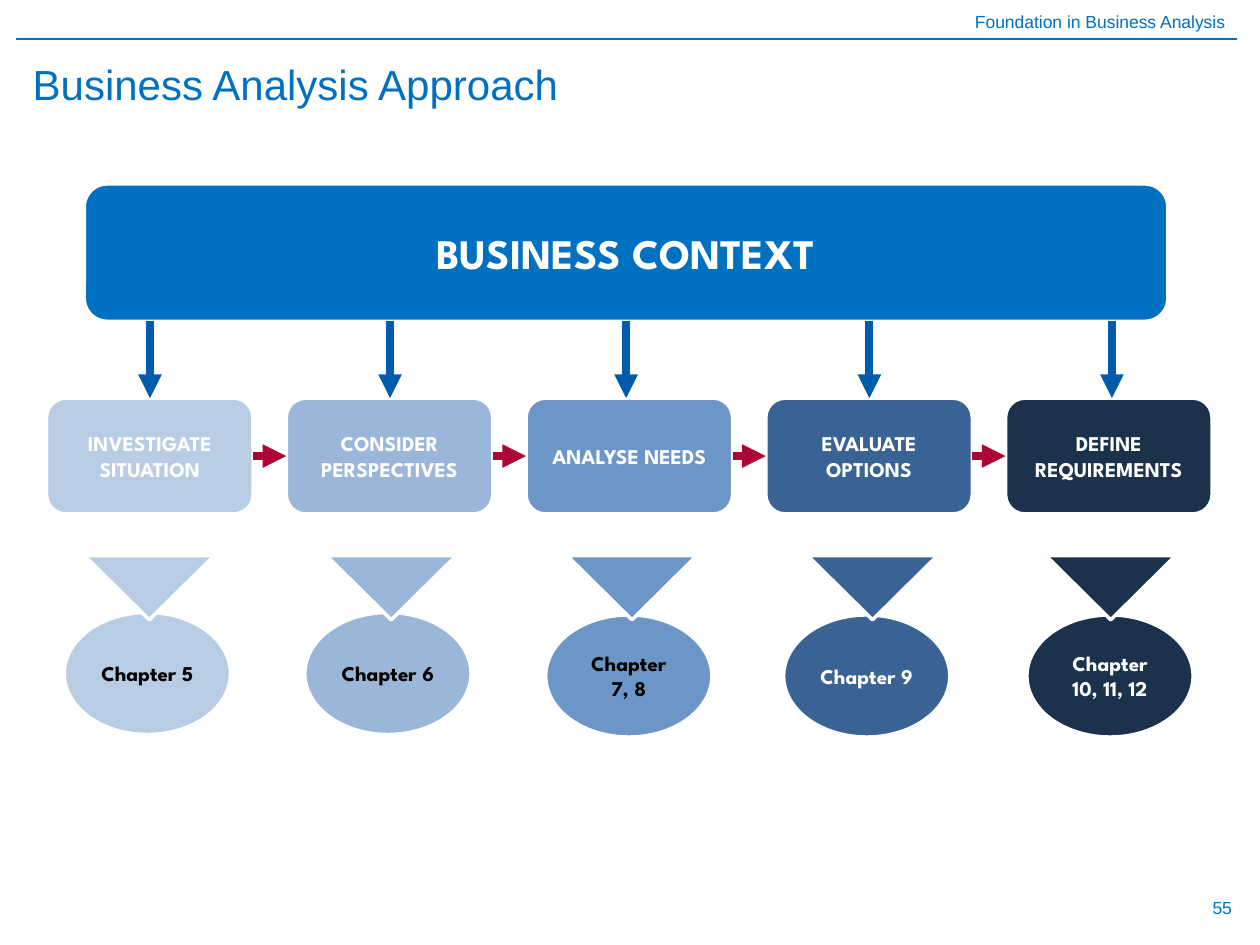
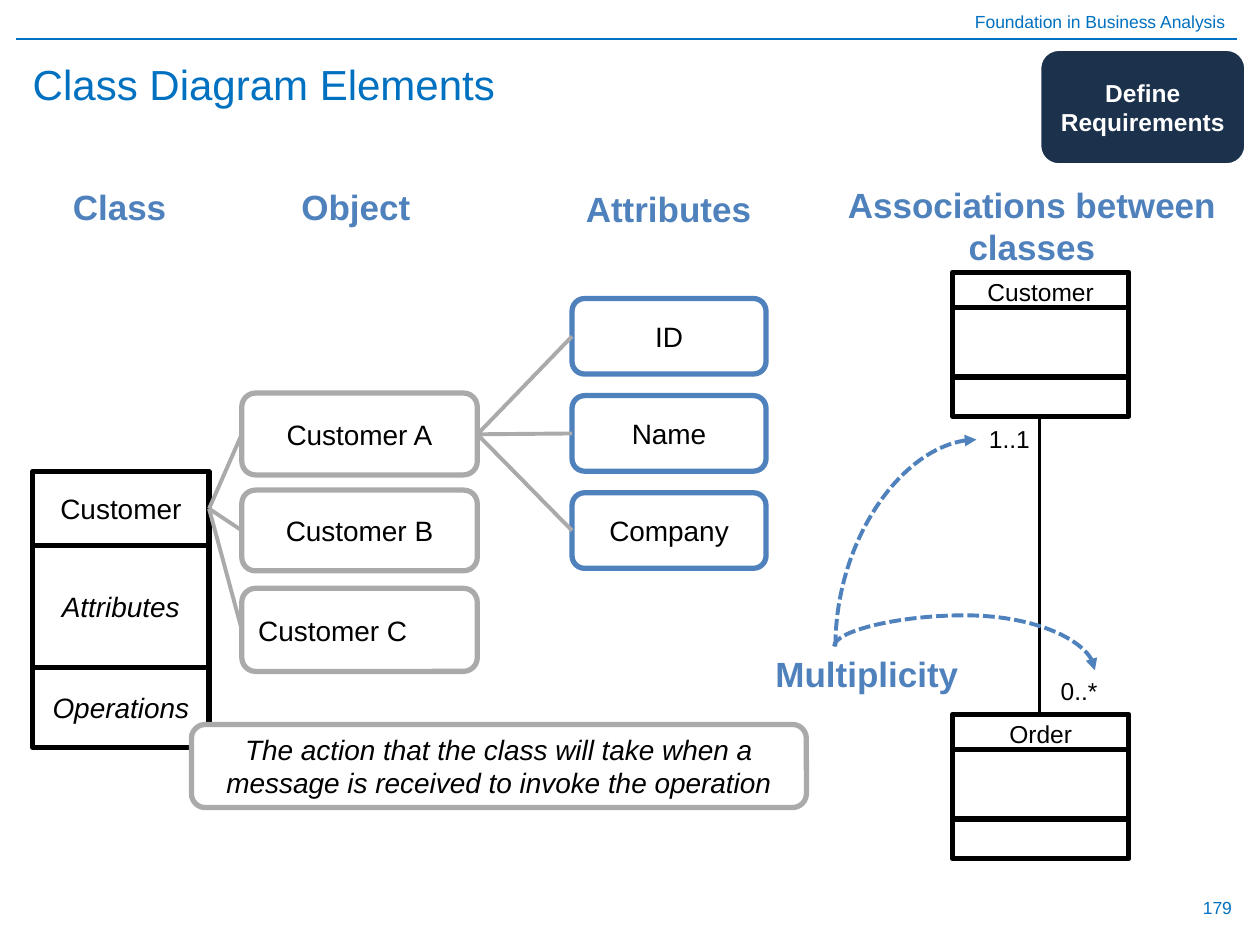
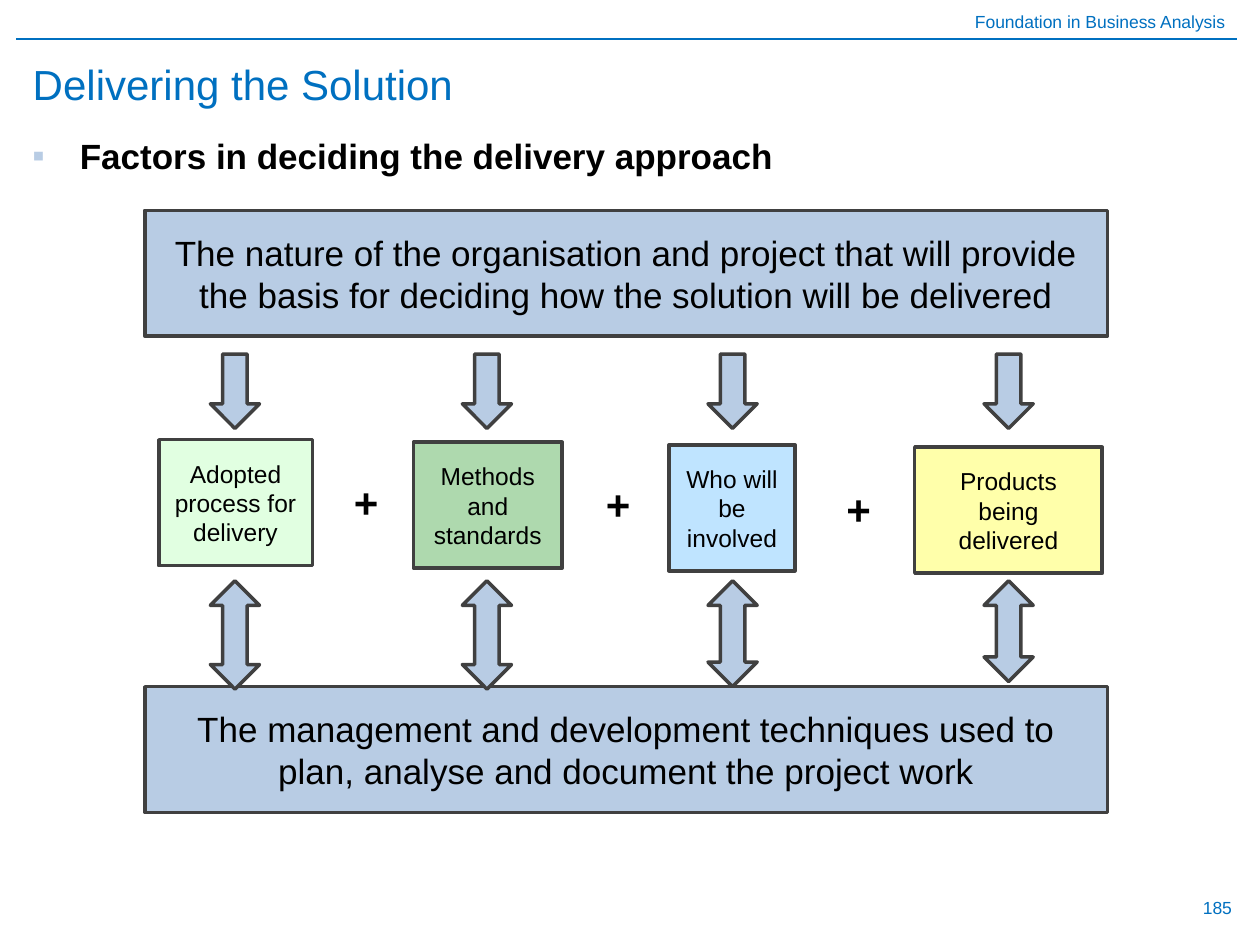
from dataclasses import dataclass
from typing import Any, Optional

from lxml import etree
from pptx import Presentation
from pptx.dml.color import RGBColor
from pptx.enum.dml import MSO_LINE
from pptx.enum.shapes import MSO_CONNECTOR, MSO_SHAPE
from pptx.enum.text import MSO_ANCHOR, MSO_AUTO_SIZE, PP_ALIGN
from pptx.oxml.ns import qn
from pptx.util import Pt

RECT = MSO_SHAPE.RECTANGLE
ROUND = MSO_SHAPE.ROUNDED_RECTANGLE
ELLIPSE = MSO_SHAPE.OVAL
TRIANGLE = MSO_SHAPE.ISOSCELES_TRIANGLE
DOWN = MSO_SHAPE.DOWN_ARROW
UP_DOWN = MSO_SHAPE.UP_DOWN_ARROW
STRAIGHT = MSO_CONNECTOR.STRAIGHT
CURVE = MSO_CONNECTOR.CURVE
DASH = MSO_LINE.SQUARE_DOT
LEFT, CENTER, RIGHT = PP_ALIGN.LEFT, PP_ALIGN.CENTER, PP_ALIGN.RIGHT
TOP, MIDDLE = MSO_ANCHOR.TOP, MSO_ANCHOR.MIDDLE
NO_FIT = MSO_AUTO_SIZE.NONE

BLACK = RGBColor(0, 0, 0)
WHITE = RGBColor(0xFF, 0xFF, 0xFF)
BLUE = RGBColor(0x00, 0x70, 0xC0)
ARROW_BLUE = RGBColor(0x00, 0x5B, 0xAA)
HEADING_BLUE = RGBColor(0x4F, 0x81, 0xBD)
PALE = RGBColor(0xB8, 0xCC, 0xE4)
LIGHT = RGBColor(0x9A, 0xB7, 0xD9)
MEDIUM = RGBColor(0x6D, 0x96, 0xC8)
DEEP = RGBColor(0x39, 0x63, 0x95)
NAVY = RGBColor(0x1C, 0x31, 0x4B)
CRIMSON = RGBColor(0xAB, 0x06, 0x34)
GREY = RGBColor(0xAA, 0xAA, 0xAA)
DARK_GREY = RGBColor(0x40, 0x40, 0x40)
MINT = RGBColor(0xE1, 0xFF, 0xE1)
GREEN = RGBColor(0xAE, 0xD9, 0xAE)
SKY = RGBColor(0xBF, 0xE4, 0xFF)
YELLOW = RGBColor(0xFF, 0xFF, 0xAA)

SANS = "Arial"
DISPLAY = "League Spartan"
TITLE_FONT = {"size": 24, "color": BLUE}
HEADING_FONT = {"size": 20, "color": HEADING_BLUE, "bold": True}
LABEL_FONT = {"size": 10, "color": BLUE}
STEP_FONT = {"size": 12, "color": WHITE, "bold": True, "name": DISPLAY}


@dataclass
class Box:
    x: float
    y: float
    w: float
    h: float


@dataclass
class Stage:
    text: str
    chapter: str
    fill: RGBColor
    chapter_color: RGBColor
    ellipse_x: float
    ellipse_y: float
    triangle_x: float
    arrow_x: float


@dataclass
class Factor:
    text: str
    fill: RGBColor
    box: Box
    arrow_x: float
    lower_h: float


@dataclass
class Heading:
    text: str
    box: Box
    align: Any = CENTER


STAGES = [
    Stage("INVESTIGATE SITUATION", "Chapter 5", PALE, BLACK, 36.7, 350, 48.2, 85.7),
    Stage("CONSIDER PERSPECTIVES", "Chapter 6", LIGHT, BLACK, 174.2, 350, 186.5, 222.9),
    Stage("ANALYSE NEEDS", "Chapter 7, 8", MEDIUM, BLACK, 311.8, 351.4, 324, 357.8),
    Stage("EVALUATE OPTIONS", "Chapter 9", DEEP, WHITE, 447.8, 351.4, 461.5, 496.8),
    Stage("DEFINE REQUIREMENTS", "Chapter 10, 11, 12", NAVY, WHITE, 586.8, 351.4, 597.6, 635.4),
]

FACTORS = [
    Factor("Adopted process for delivery", MINT, Box(90.7, 251.3, 87.8, 72), 120.2, 61.9),
    Factor("Methods and standards", GREEN, Box(236.2, 252.7, 85, 72), 264.2, 61.9),
    Factor("Who will be involved", SKY, Box(382.3, 254.2, 72, 72), 404.6, 60.5),
    Factor("Products being delivered", YELLOW, Box(522.7, 255.6, 107.2, 72), 562.3, 57.6),
]

HEADINGS = [
    Heading("Object", Box(144.7, 102.2, 117.4, 31.7)),
    Heading("Class", Box(34.5, 102.2, 168, 31.7), LEFT),
    Heading("Attributes", Box(298, 103.7, 168, 31.7)),
    Heading("Associations between classes", Box(474.7, 101.5, 230, 55.4)),
    Heading("Multiplicity", Box(387.4, 369.4, 216, 31.7)),
]


def points(box: Box) -> list:
    return [Pt(v) for v in (box.x, box.y, box.w, box.h)]


def write(s: Any, text: str, fmt: dict, align: Any = CENTER, anchor: Any = MIDDLE) -> Any:
    tf = s.text_frame
    tf.word_wrap = True
    tf.vertical_anchor = anchor
    p = tf.paragraphs[0]
    p.alignment = align
    r = p.add_run()
    r.text = text
    values = {"name": SANS, "size": 14, "color": BLACK, **fmt}
    r.font.color.rgb = values.pop("color")
    values["size"] = Pt(values["size"])
    for key, value in values.items():
        setattr(r.font, key, value)
    return tf


def add_text(slide: Any, box: Box, text: str, fmt: dict,
             align: Any = LEFT, anchor: Any = TOP) -> Any:
    return write(slide.shapes.add_textbox(*points(box)), text, fmt, align, anchor)


def add_box(shapes: Any, kind: Any, box: Box, fill: RGBColor, line: RGBColor = WHITE,
            width: float = 2, text: str = "", fmt: Optional[dict] = None,
            align: Any = CENTER) -> Any:
    s = shapes.add_shape(kind, *points(box))
    s.shadow.inherit = False
    s.fill.solid()
    s.fill.fore_color.rgb = fill
    s.line.color.rgb = line
    s.line.width = Pt(width)
    if text:
        write(s, text, fmt or {}, align)
    return s


def add_line(slide: Any, x1: float, y1: float, x2: float, y2: float, color: RGBColor,
             width: float, arrow: bool = False, kind: Any = STRAIGHT) -> Any:
    c = slide.shapes.add_connector(kind, Pt(x1), Pt(y1), Pt(x2), Pt(y2))
    c.line.color.rgb = color
    c.line.width = Pt(width)
    if kind == CURVE:
        c.line.dash_style = DASH
    spPr = c._element.spPr
    if arrow:
        etree.SubElement(spPr.find(qn("a:ln")), qn("a:tailEnd"), type="triangle")
    etree.SubElement(spPr, qn("a:effectLst"))
    return c


def add_curve(slide: Any, x1: float, y1: float, x2: float, y2: float,
              turn: int, preset: str, adjust: Optional[int] = None) -> None:
    c = add_line(slide, x1, y1, x2, y2, HEADING_BLUE, 2.25, True, CURVE)
    spPr = c._element.spPr
    spPr.find(qn("a:xfrm")).set("rot", str(turn * 60000))
    geom = spPr.find(qn("a:prstGeom"))
    geom.set("prst", preset)
    if adjust is not None:
        guides = geom.find(qn("a:avLst"))
        if guides is None:
            guides = etree.SubElement(geom, qn("a:avLst"))
        etree.SubElement(guides, qn("a:gd"), name="adj1", fmla=f"val {adjust}")


def add_slide(prs: Any, title: str, number: str) -> Any:
    slide = prs.slides.add_slide(prs.slide_layouts[5])
    add_text(slide, Box(0, 2.9, 707, 19.4), "Foundation in Business Analysis", LABEL_FONT, RIGHT)
    add_line(slide, 9.4, 22.3, 707, 22.3, BLUE, 0.75)
    add_text(slide, Box(543, 504, 168, 28.8), number, LABEL_FONT, RIGHT, MIDDLE)
    s = slide.shapes.title
    s.left, s.top, s.width, s.height = points(Box(11.5, 28.1, 692, 39.6))
    write(s, title, TITLE_FONT, LEFT).auto_size = NO_FIT
    return slide


def build_approach(prs: Any) -> None:
    slide = add_slide(prs, "Business Analysis Approach", "55")
    shapes = slide.shapes
    left, pitch, width, top, height = 26.6, 137, 118, 227.5, 66.2
    context = Box(48.2, 105.1, 619.2, 78.5)
    for stage in reversed(STAGES):
        s = add_box(shapes, ELLIPSE, Box(stage.ellipse_x, stage.ellipse_y, 95, 69.8), stage.fill,
                    text=stage.chapter, fmt={**STEP_FONT, "color": stage.chapter_color})
        s.text_frame.margin_left = s.text_frame.margin_right = Pt(6)
    for stage in STAGES:
        s = add_box(shapes, TRIANGLE, Box(stage.triangle_x, 317.5, 74.2, 36.7), stage.fill)
        s.rotation = 180
    add_box(shapes, ROUND, context, BLUE, text="BUSINESS CONTEXT",
            fmt={**STEP_FONT, "size": 24})
    for i, stage in enumerate(STAGES):
        x = left + i * pitch
        add_box(shapes, ROUND, Box(x, top, width, height), stage.fill,
                text=stage.text, fmt=STEP_FONT)
        if i:
            y = top + height / 2
            add_line(slide, x - pitch + width, y, x, y, CRIMSON, 4.5, True)
    for stage in STAGES:
        add_line(slide, stage.arrow_x, context.y + context.h, stage.arrow_x, top,
                 ARROW_BLUE, 4.5, True)


def add_class(slide: Any, x: float, rows: list, fmts: list) -> None:
    shapes = slide.shapes.add_group_shape().shapes
    for (text, y, h), fmt in zip(rows, fmts):
        add_box(shapes, RECT, Box(x, y, 100.8, h), WHITE, BLACK, 3, text, fmt)


def build_class_diagram(prs: Any) -> None:
    slide = add_slide(prs, "Class Diagram Elements", "179")
    shapes = slide.shapes
    plain, italic = {"size": 16}, {"size": 16, "italic": True}
    objects = [("Customer A", 224.6, 46.8, CENTER), ("Customer B", 280.1, 46.1, CENTER),
               ("Customer C", 336.2, 47.5, LEFT)]
    for text, y, h, align in objects:
        add_box(shapes, ROUND, Box(138.2, y, 134.6, h), WHITE, GREY, 3, text, plain, align)
    add_box(shapes, ROUND, Box(594, 28.1, 118, 66.2), NAVY,
            text="Define Requirements", fmt={"color": WHITE, "bold": True})
    add_class(slide, 18.7, [("Customer", 269.3, 42.5), ("Attributes", 311.8, 69.8),
                            ("Operations", 381.6, 45.4)], [plain, italic, italic])
    for i, text in enumerate(["ID", "Name", "Company"]):
        y = 170.6 + 55.5 * i
        add_box(shapes, ROUND, Box(326.9, y, 110.9, 43.2), WHITE, HEADING_BLUE, 3, text, plain)
        add_line(slide, 272.8, 248.2, 326.9, y + 21.6, GREY, 2.25)
    for text, y, h, align in objects:
        add_line(slide, 119.5, 290.7, 138.2, y + h / 2, GREY, 2.25)
    for heading in HEADINGS:
        add_text(slide, heading.box, heading.text, HEADING_FONT, heading.align)
    add_line(slide, 594, 239, 594, 408.2, BLACK, 2.25)
    add_text(slide, Box(599, 383, 54, 24.5), "0..*", {})
    add_text(slide, Box(558, 239, 54, 24.5), "1..1", {})
    add_curve(slide, 576.7, 350.6, 458.6, 270, 90, "curvedConnector2")
    add_curve(slide, 558, 301.7, 544.3, 450.7, 270, "curvedConnector3", -129800)
    add_box(shapes, ROUND, Box(109.4, 414, 351.4, 47.5), WHITE, GREY, 3,
            "The action that the class will take when a message is received "
            "to invoke the operation", italic)
    for name, y in [("Customer", 155.5), ("Order", 408.2)]:
        add_class(slide, 544.3, [(name, y, 22.3), ("", y + 20.2, 39.4), ("", y + 60.1, 22.3)],
                  [{}, {}, {}])


def build_delivery(prs: Any) -> None:
    slide = add_slide(prs, "Delivering the Solution", "185")
    shapes = slide.shapes
    tf = add_text(slide, Box(11.5, 73.4, 692, 36), "Factors in deciding the delivery approach",
                  {"size": 20, "bold": True})
    pPr = tf.paragraphs[0]._p.get_or_add_pPr()
    pPr.set("marL", str(Pt(27)))
    pPr.set("indent", str(Pt(-27)))
    color = etree.SubElement(pPr, qn("a:buClr"))
    etree.SubElement(color, qn("a:srgbClr"), val=str(PALE))
    etree.SubElement(pPr, qn("a:buFont"), typeface=SANS)
    etree.SubElement(pPr, qn("a:buChar"), char="▪")
    bands = [
        (120.2, "The nature of the organisation and project that will provide "
                "the basis for deciding how the solution will be delivered"),
        (392.4, "The management and development techniques used to "
                "plan, analyse and document the project work"),
    ]
    for y, text in bands:
        add_box(shapes, RECT, Box(82.8, y, 550, 72), PALE, DARK_GREY, 2, text, {"size": 20})
    for factor in FACTORS:
        add_box(shapes, RECT, factor.box, factor.fill, DARK_GREY, 2, factor.text)
        for kind, y, h in [(DOWN, 202.3, 42.5), (UP_DOWN, 331.9, factor.lower_h)]:
            add_box(shapes, kind, Box(factor.arrow_x, y, 28.1, h), PALE, DARK_GREY)
    for x, y in [(195.1, 268.6), (339.1, 270), (476.6, 272.9)]:
        tf = add_text(slide, Box(x, y, 28.8, 36), "+", {"size": 24, "bold": True})
        tf.word_wrap = False


def main() -> None:
    prs = Presentation()
    prs.slide_width, prs.slide_height = Pt(720), Pt(540)
    build_approach(prs)
    build_class_diagram(prs)
    build_delivery(prs)
    prs.save("out.pptx")


if __name__ == "__main__":
    main()
